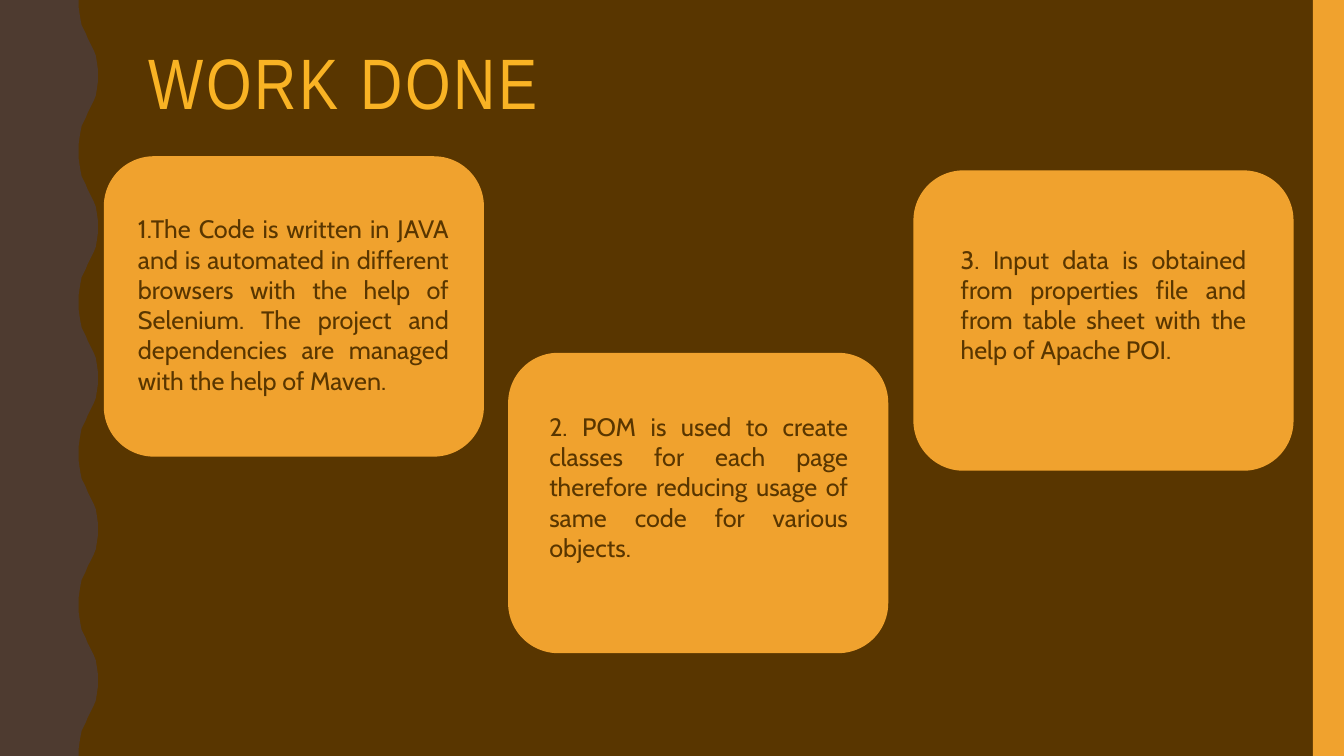
from dataclasses import dataclass

from pptx import Presentation
from pptx.dml.color import RGBColor
from pptx.enum.shapes import MSO_SHAPE
from pptx.enum.text import MSO_ANCHOR, MSO_AUTO_SIZE, PP_ALIGN

RECT, ROUND = MSO_SHAPE.RECTANGLE, MSO_SHAPE.ROUNDED_RECTANGLE
LEFT, JUSTIFY = PP_ALIGN.LEFT, PP_ALIGN.JUSTIFY
TOP = MSO_ANCHOR.TOP
FIXED, GROW = MSO_AUTO_SIZE.NONE, MSO_AUTO_SIZE.SHAPE_TO_FIT_TEXT
PX = 9144  # 100 px to the inch
WIDE, HIGH = 1333, 750
CARD_W, CARD_H = 377, 298


@dataclass(frozen=True)
class Theme:
    back: str = "593600"
    wave: str = "4E3B30"
    gold: str = "F0A22E"
    title: str = "F9B324"
    ink: str = "593600"
    head_font: str = "Arial Narrow"
    body_font: str = "Cabin"
    head_size: int = 51
    body_size: int = 18


@dataclass(frozen=True)
class Box:
    x: int
    y: int
    w: int
    h: int

    def emu(self) -> tuple[int, ...]:
        return tuple(n * PX for n in (self.x, self.y, self.w, self.h))


@dataclass(frozen=True)
class Card:
    x: int
    y: int
    note: Box
    text: str


THEME = Theme()
CARDS = [
    Card(103, 155, Box(127, 207, 328, 222),
         "1.The Code is written in JAVA and is automated in different browsers "
         "with the help of Selenium. The project and dependencies are managed "
         "with the help of Maven."),
    Card(504, 350, Box(535, 403, 316, 192),
         "2. POM is used to create classes for each page therefore reducing "
         "usage of same code for various objects."),
    Card(906, 169, Box(943, 237, 303, 162),
         "3. Input data is obtained from properties file and from table sheet "
         "with the help of Apache POI."),
]

# Half a wave, as (x, y); the other half mirrors it
HALF = [(78, 0), (78, 7), (79, 14), (80, 20), (81, 25), (83, 29), (85, 33),
        (87, 38), (89, 42), (91, 46), (93, 50), (95, 55), (96, 61), (97, 68),
        (97, 75)]
PERIOD = 150


def paint(shape, color: str) -> None:
    shape.shadow.inherit = False
    shape.fill.solid()
    shape.fill.fore_color.rgb = RGBColor.from_string(color)
    shape.line.fill.background()


def block(slide, kind, box: Box, color: str) -> None:
    paint(slide.shapes.add_shape(kind, *box.emu()), color)


def write(shape, text: str, *, font: str, size: int, color: str, align,
          fit, gap: int = 0, lines: float = 1.0) -> None:
    frame = shape.text_frame
    frame.word_wrap = True
    frame.auto_size = fit
    frame.vertical_anchor = TOP
    para = frame.paragraphs[0]
    para.alignment = align
    para.line_spacing = lines
    run = para.add_run()
    run.text = text
    run.font.name = font
    run.font.size = size * 12700
    run.font.color.rgb = RGBColor.from_string(color)
    if gap:
        run.font._element.set("spc", str(gap * 100))


def draw_wave(slide) -> None:
    wave = HALF + [(x, PERIOD - y) for x, y in HALF[-2::-1]]
    edge = [(x, y + top) for top in range(0, HIGH, PERIOD) for x, y in wave]
    form = slide.shapes.build_freeform(0, 0, scale=PX)
    form.add_line_segments(edge + [(0, HIGH)], close=True)
    paint(form.convert_to_shape(), THEME.wave)


def draw_title(slide) -> None:
    title = slide.shapes.title
    title.left, title.top, title.width, title.height = Box(137, 42, 1113, 163).emu()
    write(title, "WORK DONE", font=THEME.head_font, size=THEME.head_size,
          color=THEME.title, align=LEFT, fit=FIXED, gap=2, lines=0.9)


def draw_card(slide, card: Card) -> None:
    block(slide, ROUND, Box(card.x, card.y, CARD_W, CARD_H), THEME.gold)
    note = slide.shapes.add_textbox(*card.note.emu())
    write(note, card.text, font=THEME.body_font, size=THEME.body_size,
          color=THEME.ink, align=JUSTIFY, fit=GROW)


def main() -> None:
    deck = Presentation()
    deck.slide_width, deck.slide_height = WIDE * PX, HIGH * PX
    slide = deck.slides.add_slide(deck.slide_layouts[5])

    # Backdrop
    slide.background.fill.solid()
    slide.background.fill.fore_color.rgb = RGBColor.from_string(THEME.back)
    draw_wave(slide)
    block(slide, RECT, Box(1302, 0, 31, HIGH), THEME.gold)

    # Content
    draw_title(slide)
    for card in CARDS:
        draw_card(slide, card)
    deck.save("out.pptx")


if __name__ == "__main__":
    main()
